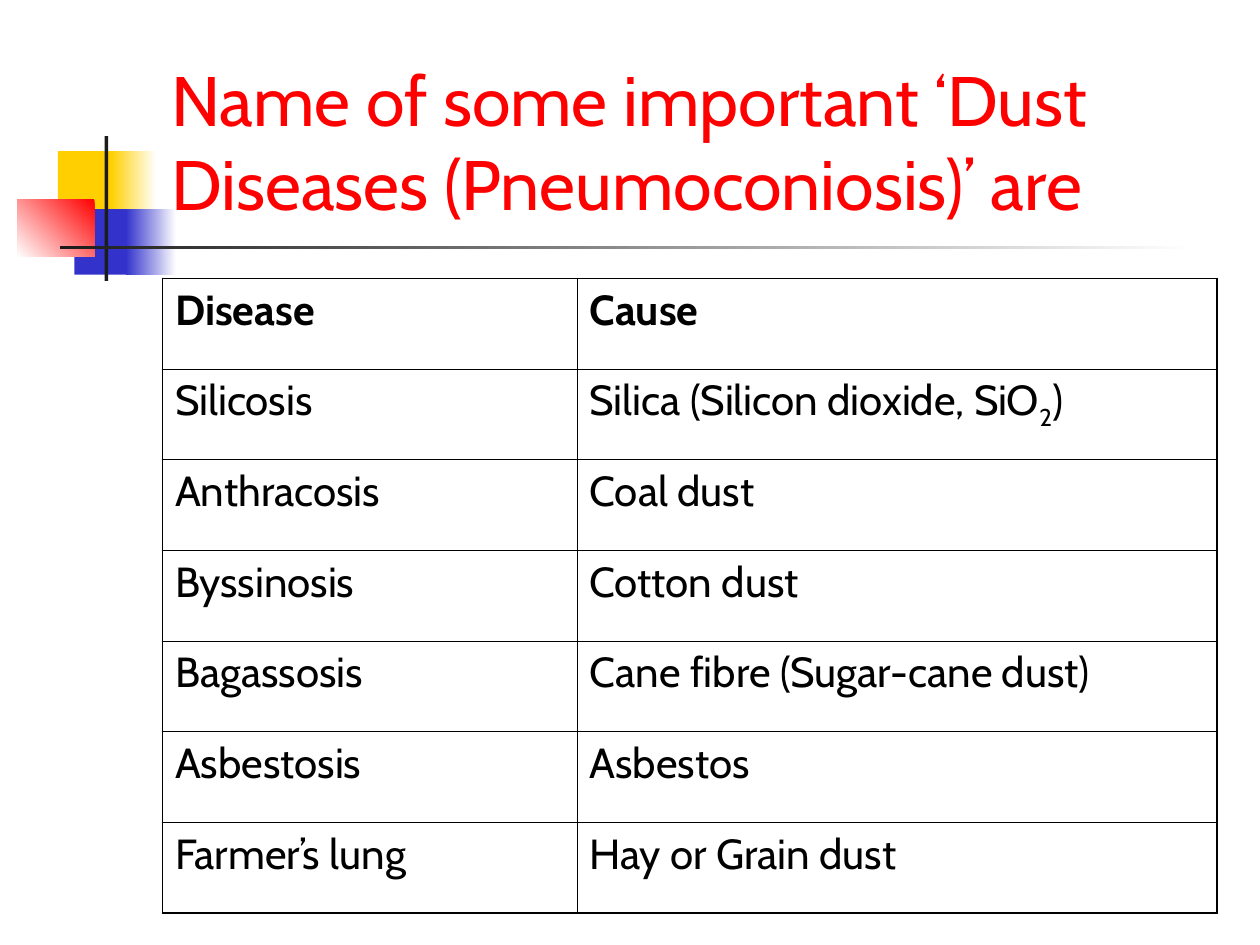
from lxml.etree import SubElement
from pptx import Presentation
from pptx.dml.color import RGBColor
from pptx.enum.shapes import MSO_SHAPE
from pptx.enum.text import MSO_ANCHOR
from pptx.oxml.ns import qn
from pptx.util import Inches, Pt

FONT = "Cabin"
YELLOW, BLUE, RED, WHITE, DARK, BLACK = (
    "FFCF01", "3333CC", "FF0000", "FFFFFF", "1C1C1C", "000000")
THIN, THICK = 0.45, 1.08

# left, top, width, height, colours (two make a gradient), clockwise angle
DECORATION = [
    (0.46, 1.2, 0.48, 0.52, [YELLOW], 0),
    (0.88, 1.2, 0.36, 0.52, [WHITE, YELLOW], 180),
    (0.59, 1.66, 0.46, 0.52, [BLUE], 0),
    (1, 1.66, 0.4, 0.52, [WHITE, BLUE], 180),
    (0.14, 1.58, 0.61, 0.46, [RED, WHITE], 135),
    (0.83, 1.08, 0.03, 1.15, [DARK], 0),
    (0.48, 1.95, 9, 0.03, [WHITE, DARK], 180),
]

# Each cell is a list of runs; a run flagged True is subscript
DISEASES = [
    ("Disease", "Cause"),
    ("Silicosis", [("Silica (Silicon dioxide, SiO", False), ("2", True), (")", False)]),
    ("Anthracosis", "Coal dust"),
    ("Byssinosis", "Cotton dust"),
    ("Bagassosis", "Cane fibre (Sugar-cane dust)"),
    ("Asbestosis", "Asbestos"),
    ("Farmer’s lung", "Hay or Grain dust"),
]


def colour(value):
    return RGBColor.from_string(value)


def add_run(paragraph, text, value, **font_format):
    run = paragraph.add_run()
    run.text = text
    run.font.color.rgb = colour(value)
    for name, setting in {"name": FONT, **font_format}.items():
        setattr(run.font, name, setting)
    return run


def add_block(slide, left, top, width, height, colours, angle):
    shape = slide.shapes.add_shape(
        MSO_SHAPE.RECTANGLE, Inches(left), Inches(top), Inches(width), Inches(height))
    shape.shadow.inherit = False
    shape.line.fill.background()
    if len(colours) == 1:
        shape.fill.solid()
        shape.fill.fore_color.rgb = colour(colours[0])
        return
    shape.fill.gradient()
    shape.fill.gradient_angle = 360 - angle  # python-pptx counts anticlockwise
    for stop, value, position in zip(shape.fill.gradient_stops, colours, (0, 1)):
        stop.color.rgb = colour(value)
        stop.position = position


def add_title(slide, text):
    box = slide.shapes.add_textbox(Inches(1.26), Inches(0.23), Inches(8.52), Inches(1.6))
    frame = box.text_frame
    frame.word_wrap = True
    frame.vertical_anchor = MSO_ANCHOR.BOTTOM
    add_run(frame.paragraphs[0], text, RED, size=Pt(40))


def set_borders(cell, widths):
    properties = cell._tc.get_or_add_tcPr()
    for side, width in widths.items():
        line = SubElement(properties, qn(f"a:ln{side}"), w=str(Pt(width)))
        fill = SubElement(line, qn("a:solidFill"))
        SubElement(fill, qn("a:srgbClr"), val=BLACK)


def fill_cell(cell, content, bold):
    paragraph = cell.text_frame.paragraphs[0]
    paragraph.space_before = Pt(6)
    runs = [(content, False)] if isinstance(content, str) else content
    for text, subscript in runs:
        run = add_run(paragraph, text, BLACK, size=Pt(24), bold=bold)
        if subscript:
            run.font._element.set("baseline", "-25000")


def add_disease_table(slide, rows):
    last_row, last_column = len(rows) - 1, len(rows[0]) - 1
    table = slide.shapes.add_table(
        len(rows), len(rows[0]), Inches(1.29), Inches(2.21),
        Inches(8.37), Inches(0.72 * len(rows))).table
    table.first_row = table.horz_banding = False
    for column, width in zip(table.columns, (3.29, 5.08)):
        column.width = Inches(width)
    for r, row in enumerate(rows):
        table.rows[r].height = Inches(0.72)
        for c, content in enumerate(row):
            cell = table.cell(r, c)
            fill_cell(cell, content, bold=r == 0)
            # Outer edges are thicker than inner ones
            edges = {"L": c == 0, "R": c == last_column, "T": r == 0, "B": r == last_row}
            set_borders(cell, {side: THICK if outer else THIN
                               for side, outer in edges.items()})
            cell.fill.background()


def main():
    presentation = Presentation()
    presentation.slide_width, presentation.slide_height = Inches(10), Inches(7.5)
    slide = presentation.slides.add_slide(presentation.slide_layouts[6])
    # Corner blocks and rules
    for block in DECORATION:
        add_block(slide, *block)
    # Title and table
    add_title(slide, "Name of some important ‘Dust Diseases (Pneumoconiosis)’ are")
    add_disease_table(slide, DISEASES)
    presentation.save("out.pptx")


if __name__ == "__main__":
    main()
